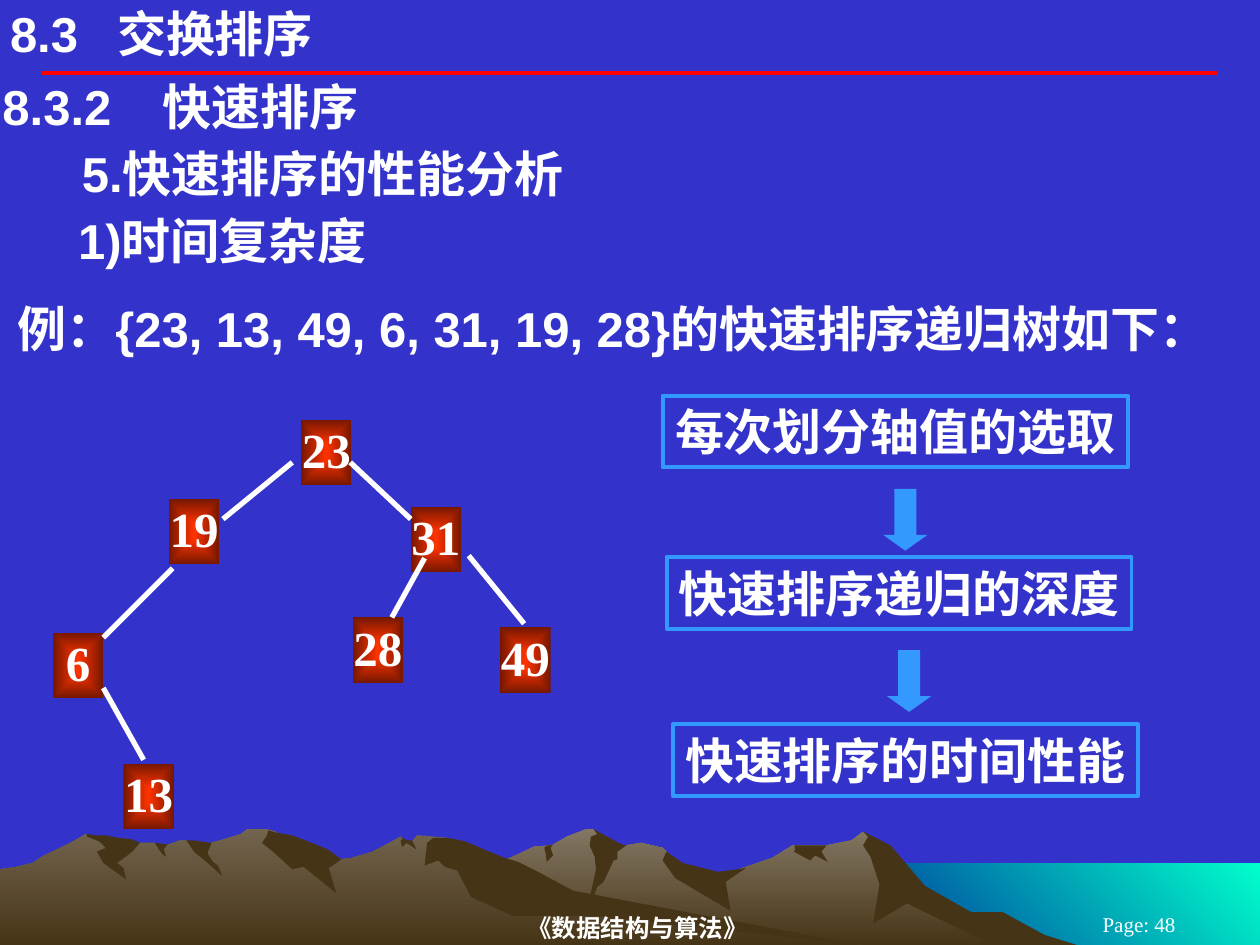
from lxml import etree
from pptx import Presentation
from pptx.dml.color import RGBColor
from pptx.enum.shapes import MSO_CONNECTOR, MSO_SHAPE
from pptx.enum.text import MSO_ANCHOR, PP_ALIGN
from pptx.oxml.ns import qn
from pptx.util import Inches, Pt

RECT, DOWN = MSO_SHAPE.RECTANGLE, MSO_SHAPE.DOWN_ARROW
STRAIGHT = MSO_CONNECTOR.STRAIGHT
LEFT, CENTER = PP_ALIGN.LEFT, PP_ALIGN.CENTER
TOP, MIDDLE = MSO_ANCHOR.TOP, MSO_ANCHOR.MIDDLE
CJK, SANS, SERIF = "Noto Sans CJK SC", "Arial", "Times New Roman"
WHITE, BLUE, RED, ROCK = "FFFFFF", "3399FF", "FF0000", "463416"

# Mountain outlines as x, y pairs in hundredths of an inch
RIGHT_RANGE = [
    802, 740, 778, 727, 764, 723, 723, 698, 702, 671, 685, 660, 676, 667, 656, 671,
    629, 671, 613, 681, 566, 697, 536, 690, 529, 676, 526, 673, 509, 669, 497, 671,
    486, 673, 474, 661, 471, 658, 465, 658, 450, 664, 438, 671, 424, 672, 405, 681,
    394, 685, 355, 698, 327, 709, 277, 739, 258, 751, 821, 751]
RIGHT_SHADES = [
    [796, 724, 771, 724, 734, 703, 707, 671, 685, 660, 689, 664, 685, 671, 691, 680,
     698, 702, 693, 733, 720, 717, 792, 752, 858, 751, 829, 742],
    [471, 658, 474, 662, 469, 664, 468, 671, 472, 680, 473, 690, 465, 727, 474, 704,
     479, 700, 487, 683, 490, 682, 490, 676, 497, 671, 493, 670],
    [529, 676, 528, 678, 526, 683, 536, 697, 580, 723, 576, 700, 592, 689, 570, 692,
     542, 685],
    [650, 671, 630, 671, 631, 672, 631, 675, 630, 676, 643, 683, 647, 679, 657, 684,
     652, 676, 656, 671],
    [433, 677, 432, 673, 434, 671, 438, 671, 439, 670, 437, 673, 439, 679, 434, 684],
]
LEFT_RANGE = [
    690, 751, 667, 748, 432, 712, 354, 665, 331, 663, 327, 668, 323, 668, 318, 664,
    296, 676, 279, 681, 271, 682, 260, 676, 236, 681, 223, 663, 219, 660, 212, 658,
    196, 658, 191, 662, 178, 666, 160, 671, 148, 667, 143, 667, 132, 671, 128, 671,
    123, 669, 111, 669, 94, 671, 68, 662, 56, 669, 46, 674, 35, 679, 26, 685,
    14, 688, 0, 690, 0, 751]
LEFT_SHADES = [
    [212, 663, 208, 669, 219, 678, 232, 690, 241, 688, 267, 709, 261, 689, 271, 682,
     260, 674, 245, 668, 232, 663, 220, 661, 213, 659],
    [370, 668, 361, 666, 354, 665, 344, 665, 339, 669, 337, 687, 348, 683, 353, 688,
     363, 691, 374, 712, 407, 727, 472, 727, 690, 751, 683, 750, 455, 707, 427, 692,
     411, 684, 401, 681, 386, 675],
    [318, 667, 320, 666, 318, 664, 323, 667, 327, 667, 330, 673, 330, 674, 326, 671,
     322, 669, 321, 671, 319, 672],
    [154, 667, 161, 668, 168, 669, 165, 676, 165, 678, 169, 684, 173, 687, 176, 694,
     176, 695, 165, 685, 154, 676, 148, 667],
    [133, 670, 130, 674, 132, 680, 129, 678, 126, 674, 123, 669],
    [109, 668, 111, 669, 105, 676, 93, 685, 98, 689, 100, 698, 82, 685, 77, 676,
     84, 673, 79, 668, 69, 664, 69, 662, 77, 663, 84, 663, 94, 665, 104, 666],
]


def color(value):
    return RGBColor.from_string(value)


class Canvas:
    def __init__(self, slide, background):
        self.shapes = slide.shapes
        slide.background.fill.solid()
        slide.background.fill.fore_color.rgb = color(background)

    def paint(self, sp, fill=None, line=None, angle=None):
        """Fill with one colour, or with a pair of colours as a gradient."""
        sp.shadow.inherit = False
        if fill is None:
            sp.fill.background()
        elif isinstance(fill, str):
            sp.fill.solid()
            sp.fill.fore_color.rgb = color(fill)
        else:
            sp.fill.gradient()
            for stop, value in zip(sp.fill.gradient_stops, fill):
                stop.color.rgb = color(value)
            if angle is not None:
                sp.fill.gradient_angle = angle
            else:
                self.radiate(sp)
        if line:
            sp.line.color.rgb = color(line)
            sp.line.width = Pt(2.25)
        else:
            sp.line.fill.background()

    def radiate(self, sp):
        """Turn a linear gradient into one spreading from the centre."""
        grad = sp._element.spPr.find(qn("a:gradFill"))
        grad.remove(grad.find(qn("a:lin")))
        route = etree.SubElement(grad, qn("a:path"), {"path": "rect"})
        sides = dict.fromkeys("ltrb", "50000")
        etree.SubElement(route, qn("a:fillToRect"), sides)

    def label(self, sp, text, font=SANS, size=28, bold=True, align=LEFT,
              anchor=TOP, insets=(0.1, 0.05, 0.1, 0.05), wrap=True, tab=None):
        tf = sp.text_frame
        left, top, right, bottom = map(Inches, insets)
        frame = {"word_wrap": wrap, "vertical_anchor": anchor, "margin_left": left,
                 "margin_top": top, "margin_right": right, "margin_bottom": bottom}
        for name, value in frame.items():
            setattr(tf, name, value)
        p = tf.paragraphs[0]
        p.alignment = align
        if tab:
            stops = etree.SubElement(p._p.get_or_add_pPr(), qn("a:tabLst"))
            etree.SubElement(stops, qn("a:tab"), {"pos": str(Inches(tab)), "algn": "l"})
        r = p.add_run()
        r.text = text
        for name, value in {"name": font, "size": Pt(size), "bold": bold}.items():
            setattr(r.font, name, value)
        r.font.color.rgb = color(WHITE)
        etree.SubElement(r._r.get_or_add_rPr(), qn("a:ea"), {"typeface": CJK})

    def text(self, box, text, **style):
        self.label(self.shapes.add_textbox(*map(Inches, box)), text, **style)

    def shape(self, kind, box, **look):
        sp = self.shapes.add_shape(kind, *map(Inches, box))
        self.paint(sp, **look)
        return sp

    def outline(self, flat, fill, angle=None):
        points = list(zip(flat[::2], flat[1::2]))
        builder = self.shapes.build_freeform(*points[0], scale=Inches(0.01))
        builder.add_line_segments(points[1:], close=True)
        self.paint(builder.convert_to_shape(), fill, angle=angle)

    def line(self, ends, value, width):
        cn = self.shapes.add_connector(STRAIGHT, *map(Inches, ends))
        cn.line.color.rgb = color(value)
        cn.line.width = Pt(width)
        etree.SubElement(cn._element.spPr, qn("a:effectLst"))


def main():
    prs = Presentation()
    prs.slide_width, prs.slide_height = Inches(10), Inches(7.5)
    c = Canvas(prs.slides.add_slide(prs.slide_layouts[6]), "3333CC")

    # Sea and mountains
    c.outline([1000, 752, 683, 752, 683, 685, 1000, 685], ("00FFCC", "003399"), 225)
    for ridge, top, shades in ((RIGHT_RANGE, "837763", RIGHT_SHADES),
                               (LEFT_RANGE, "72644E", LEFT_SHADES)):
        c.outline(ridge, (top, ROCK), 270)
        for shade in shades:
            c.outline(shade, ROCK)

    # Rule and footer
    c.line((0.33, 0.58, 9.67, 0.58), RED, 2.25)
    c.text((2.08, 7.22, 6.06, 0.28), "《数据结构与算法》", font=SERIF, size=14,
           align=CENTER, anchor=MIDDLE, insets=(0, 0.01, 0.1, 0.01))
    c.text((8.25, 7.25, 1.58, 0.17), "Page: 48", font=SERIF, size=12, bold=False,
           align=CENTER, anchor=MIDDLE)

    # Headings
    c.text((0.08, 0.03, 6.5, 0.47), "8.3\t交换排序", insets=(0, 0, 0, 0), tab=0.85)
    c.text((0, 0.6, 10, 0.49), "8.3.2\t快速排序", insets=(0.02, 0.01, 0.02, 0.01), tab=1.27)
    c.text((0, 1.13, 10, 0.49), "5.快速排序的性能分析", insets=(0.65, 0.01, 0.02, 0.01))
    c.text((0, 1.62, 9.96, 0.57), "1)时间复杂度", insets=(0.62, 0.05, 0.1, 0.05))
    c.text((0.04, 2.32, 9.96, 0.57), "例：{23, 13, 49, 6, 31, 19, 28}的快速排序递归树如下：")

    # Recursion tree
    nodes = {"23": (2.39, 3.33), "19": (1.34, 3.96), "31": (3.26, 4.02),
             "49": (3.97, 4.98), "28": (2.8, 4.9), "13": (0.98, 6.06), "6": (0.42, 5.02)}
    for key, (x, y) in nodes.items():
        sp = c.shape(RECT, (x, y, 0.4, 0.52), fill=("FF3300", "751700"))
        c.label(sp, key, font=SERIF, align=CENTER, insets=(0, 0, 0, 0.04))
    for ends in ((2.32, 3.67, 1.77, 4.12), (2.78, 3.67, 3.26, 4.12),
                 (1.37, 4.51, 0.82, 5.06), (3.72, 4.41, 4.16, 4.95),
                 (3.37, 4.43, 3.11, 4.9), (0.82, 5.46, 1.14, 6.03)):
        c.line(ends, WHITE, 3)

    # Chain of causes
    for x, y, cause in ((5.26, 3.14, "每次划分轴值的选取"), (5.29, 4.42, "快速排序递归的深度"),
                        (5.34, 5.75, "快速排序的时间性能")):
        sp = c.shape(RECT, (x, y, 3.69, 0.57), line=BLUE)
        c.label(sp, cause, font=CJK, align=CENTER, wrap=False)
    for x, y in ((7.01, 3.88), (7.04, 5.16)):
        sp = c.shape(DOWN, (x, y, 0.35, 0.49), fill=BLUE)
        sp.adjustments[1] = 0.355

    prs.save("out.pptx")


if __name__ == "__main__":
    main()
